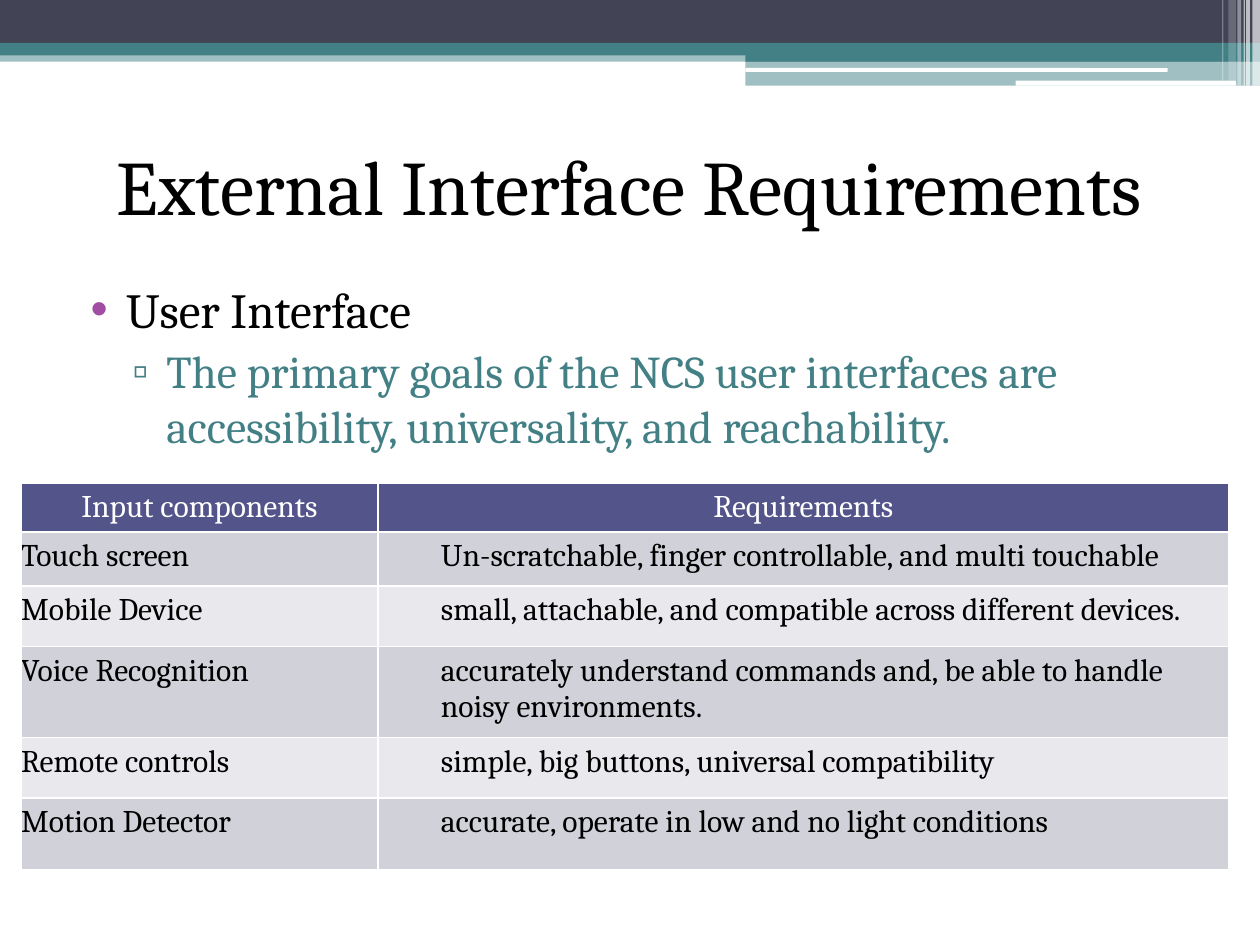
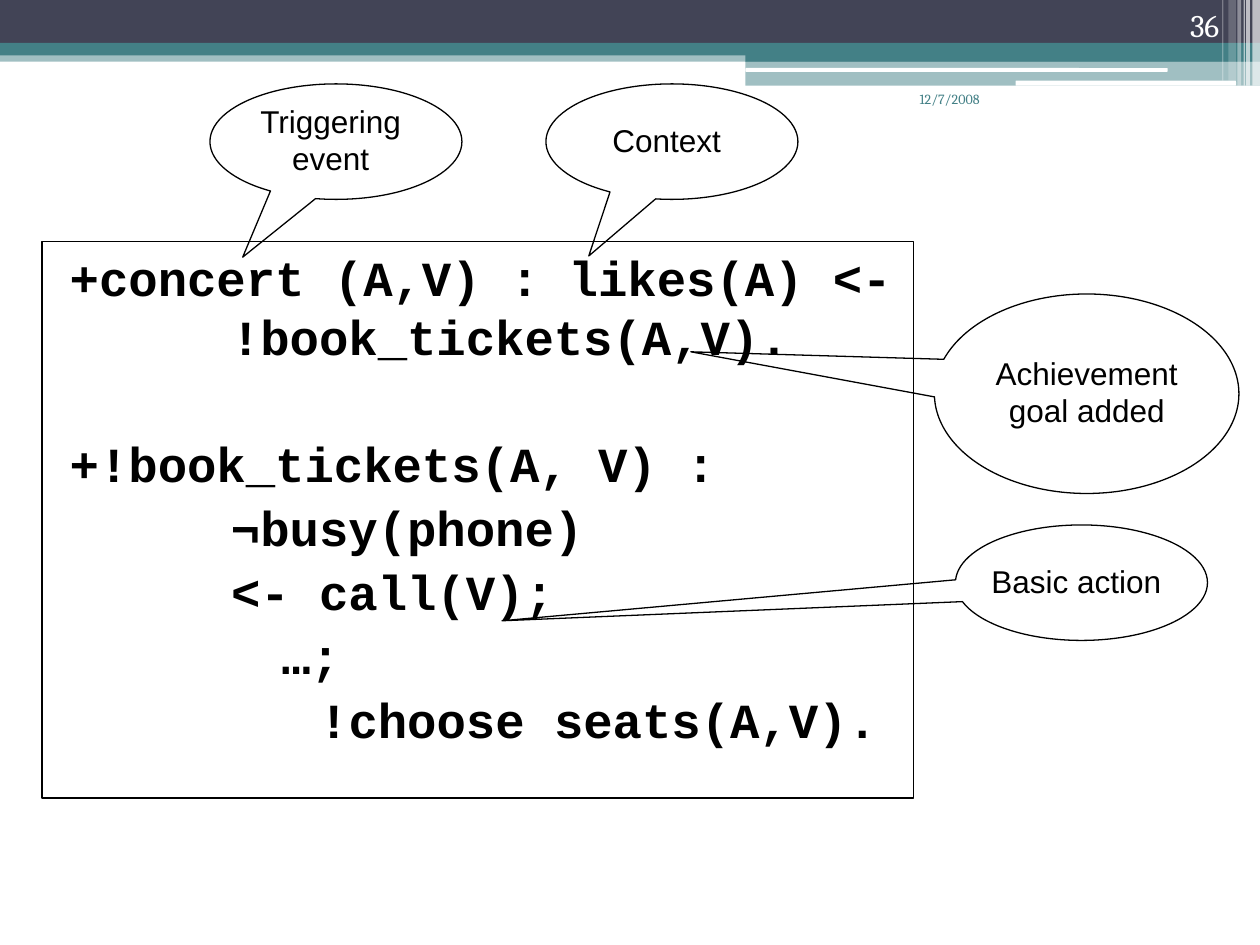
from collections import namedtuple

from lxml.etree import SubElement
from pptx import Presentation
from pptx.dml.color import RGBColor
from pptx.enum.shapes import MSO_SHAPE as Preset
from pptx.enum.text import MSO_ANCHOR as Anchor, MSO_AUTO_SIZE as AutoSize, PP_ALIGN as Align
from pptx.oxml.ns import qn
from pptx.util import Inches, Pt

# The slide is a grid of 120 columns by 90 rows, twelve to the inch.
COLUMNS, ROWS, CELLS_PER_INCH = 120, 90, 12
Box = namedtuple("Box", "left top width height")
PAGE = Box(0, 0, COLUMNS, ROWS)

SLATE, TEAL, INDIGO, PURPLE = "424456", "438086", "53548A", "A04DA3"
BLACK, WHITE, ROW_DARK, ROW_LIGHT = "000000", "FFFFFF", "D1D1DA", "E9E9ED"
SERIF, SANS, MONO = "Cambria", "Arial", "Courier New"


def grid(cells):
    return Inches(cells / CELLS_PER_INCH)


def emu(box):
    return [grid(length) for length in box]


def inside(outer, left, top, width, height):
    return Box(outer.left + left, outer.top + top, width, height)


def move(shape, box):
    shape.left, shape.top, shape.width, shape.height = emu(box)


def color(hex_code):
    return RGBColor.from_string(hex_code)


def set_font(font, name, size, hex_code, bold=False):
    font.name, font.size, font.bold = name, Pt(size), bold
    font.color.rgb = color(hex_code)


def set_indent(para, left, first=0, bullet=None, bullet_color=BLACK):
    """Indent in inches; without a bullet character the paragraph has none."""
    props = para._p.get_or_add_pPr()
    props.set("marL", str(Inches(left)))
    props.set("indent", str(Inches(first)))
    if bullet:
        tint = SubElement(props, qn("a:buClr"))
        SubElement(tint, qn("a:srgbClr"), val=bullet_color)
        SubElement(props, qn("a:buFont"), typeface=SANS)
        SubElement(props, qn("a:buChar"), char=bullet)
    else:
        SubElement(props, qn("a:buNone"))


def add_paragraph(frame, text):
    """Fill the frame's first paragraph, or add one after it."""
    para = frame.add_paragraph() if frame.text else frame.paragraphs[0]
    para.text = text
    return para


def add_label(shapes, box, text, name, size, hex_code, align=Align.LEFT, anchor=Anchor.TOP):
    label = shapes.add_textbox(*emu(box))
    frame = label.text_frame
    frame.word_wrap, frame.vertical_anchor = True, anchor
    para = add_paragraph(frame, text)
    para.alignment = align
    set_font(para.font, name, size, hex_code)


def add_band(shapes, box, hex_code, opacity=100, preset=Preset.RECTANGLE):
    band = shapes.add_shape(preset, *emu(box))
    band.shadow.inherit = False
    band.line.fill.background()
    band.fill.solid()
    band.fill.fore_color.rgb = color(hex_code)
    if opacity < 100:
        tint = band.element.spPr.find(qn("a:solidFill"))[0]
        SubElement(tint, qn("a:alpha"), val=str(opacity * 1000))
    return band


def decorate_master(deck, page, header):
    """Draw the header bands on a page, then move them to the slide master."""
    wide, right = header.width, 71
    bands = [
        (0, 4.8, wide, 1.08, TEAL, 50),
        (0, 0, wide, 4.08, SLATE, 100),
        (0, 4.08, wide, 1.2, TEAL, 100),
        (right, 4.68, wide - right, 1.2, TEAL, 100),
        (right, 5.82, wide - right, 2.34, TEAL, 50),
        (right, 6.48, 40.2, 0.36, WHITE, 100, Preset.ROUNDED_RECTANGLE),
        (96.72, 7.68, 21, 0.48, WHITE, 100, Preset.ROUNDED_RECTANGLE),
    ]
    stripes = [(119.28, 0.72, 8.16, 65), (118.68, 0.36, 8.16, 65), (118.44, 0.12, 8.16, 60),
               (117.84, 0.36, 8.16, 40), (117, 0.72, 7.68, 20), (116.4, 0.12, 7.68, 30)]
    bands += [(left, 0, width, height, WHITE, opacity)
              for left, width, height, opacity in stripes]
    tree = deck.slide_master.shapes.element
    for number, (left, top, width, height, *style) in enumerate(bands):
        band = add_band(page.shapes, inside(header, left, top, width, height), *style)
        band.element.nvSpPr.cNvPr.set("id", str(100 + number))
        tree.insert(2 + number, band.element)


def fill_title(title, box, text):
    move(title, box)
    frame = title.text_frame
    frame.auto_size, frame.vertical_anchor = AutoSize.NONE, Anchor.MIDDLE
    frame.margin_bottom = grid(9.4)
    para = add_paragraph(frame, text)
    para.alignment = Align.CENTER
    set_font(para.font, SERIF, 44, BLACK)


def fill_goals(body, box):
    move(body, box)
    frame = body.text_frame
    frame.auto_size = AutoSize.NONE
    goals = [
        ("User Interface", 0.4, -0.28, "•", PURPLE, 28, BLACK),
        ("The primary goals of the NCS user interfaces are accessibility, "
         "universality, and reachability.", 0.72, -0.27, "▫", TEAL, 26, TEAL),
    ]
    for level, (text, left, first, bullet, tint, size, hex_code) in enumerate(goals):
        para = add_paragraph(frame, text)
        para.level, para.space_before = level, Pt(3)
        set_indent(para, left, first, bullet, tint)
        set_font(para.font, SERIF, size, hex_code)


def add_requirements_table(page, box):
    records = [
        ("Input components", "Requirements"),
        ("Touch screen", "Un-scratchable, finger controllable, and multi touchable"),
        ("Mobile Device", "small, attachable, and compatible across different devices."),
        ("Voice Recognition",
         "accurately understand commands and, be able to handle noisy environments."),
        ("Remote controls", "simple, big buttons, universal compatibility"),
        ("Motion Detector", "accurate, operate in low and no light conditions"),
    ]
    heights = [3.84, 5.16, 5.76, 8.64, 5.76, 6.84]
    table = page.shapes.add_table(len(records), 2, *emu(box)).table
    for column, width in zip(table.columns, (34, box.width - 34)):
        column.width = grid(width)
    for row, (record, height) in enumerate(zip(records, heights)):
        table.rows[row].height = grid(height)
        header = row == 0
        for column, text in enumerate(record):
            cell = table.cell(row, column)
            cell.fill.solid()
            shade = INDIGO if header else ROW_DARK if row % 2 else ROW_LIGHT
            cell.fill.fore_color.rgb = color(shade)
            para = add_paragraph(cell.text_frame, text)
            if header:
                para.alignment = Align.CENTER
            else:
                cell.margin_left = cell.margin_right = 0
                set_indent(para, 0.5 * column)
            set_font(para.font, SERIF, 18, WHITE if header else BLACK)


def fill_code(body, box):
    move(body, box)
    body.line.color.rgb = color(BLACK)
    body.line.width = Pt(0.75)
    frame = body.text_frame
    frame.auto_size = AutoSize.NONE
    lines = [  # text, indent in inches, space before in points
        ("+concert (A,V) : likes(A) <-", 0.12, 3),
        ("!book_tickets(A,V).", 1.4, 0),
        ("+!book_tickets(A, V) :", 0.12, 39),
        ("¬busy(phone)", 1.4, 3),
        ("<- call(V);", 1.4, 3),
        ("…;", 1.8, 3),
        ("!choose seats(A,V).", 2.1, 3),
    ]
    for text, indent, before in lines:
        para = add_paragraph(frame, text)
        para.space_before, para.line_spacing = Pt(before), Pt(33.6)
        set_indent(para, indent)
        set_font(para.font, MONO, 28, BLACK, bold=True)
        if text.startswith("¬"):
            negation = para.runs[0]
            negation.text = "¬"
            negation.font.italic = True
            para.add_run().text = text[1:]


def add_callout(page, box, text, pointer, text_left, text_height):
    """Group an ellipse callout with its label; pointer is in shares of the ellipse."""
    shapes = page.shapes.add_group_shape().shapes
    balloon = shapes.add_shape(Preset.OVAL_CALLOUT, *emu(box))
    balloon.shadow.inherit = False
    balloon.fill.background()
    balloon.line.color.rgb = color(BLACK)
    balloon.line.width = Pt(0.75)
    balloon.adjustments[0], balloon.adjustments[1] = pointer
    label_top = (box.height - text_height) / 2 - 0.2
    add_label(shapes, inside(box, text_left, label_top, 21, text_height),
              text, SANS, 18, BLACK, Align.CENTER)


def build_requirements(page):
    fill_title(page.shapes.title, inside(PAGE, 6, 15, 108, 14), "External Interface Requirements")
    fill_goals(page.placeholders[1], inside(PAGE, 6, 26, 108, 56.8))
    add_requirements_table(page, inside(PAGE, 2, 46, 115, 36))


def build_plan_example(page):
    title = page.shapes.title.element
    title.getparent().remove(title)
    fill_code(page.placeholders[1], inside(PAGE, 4, 23, 83, 53))
    add_label(page.shapes, inside(PAGE, 86.4, 8, 12.6, 6), "12/7/2008", SERIF, 8, TEAL)
    add_label(page.shapes, inside(PAGE, 107.3, 0, 10, 4.8), "36", SERIF, 18, WHITE,
              Align.RIGHT, Anchor.BOTTOM)
    one_line, two_lines = 4.8, 8.4
    callouts = [
        (Box(20, 8, 24, 11), "Triggering event", (-0.37, 1), 1, two_lines),
        (Box(52, 8, 24, 11), "Context", (-0.33, 0.99), 1, one_line),
        (Box(89, 28, 29, 19), "Achievement goal added", (-1.3, -0.21), 4, two_lines),
        (Box(91, 50, 24, 11), "Basic action", (-2.3, 0.33), 1, one_line),
    ]
    for callout in callouts:
        add_callout(page, *callout)


def main():
    deck = Presentation()
    deck.slide_width, deck.slide_height = grid(COLUMNS), grid(ROWS)
    content_layout = deck.slide_layouts[1]
    pages = [deck.slides.add_slide(content_layout) for _ in range(2)]
    decorate_master(deck, pages[0], inside(PAGE, 0, 0, COLUMNS, 8.16))
    build_requirements(pages[0])
    build_plan_example(pages[1])
    deck.save("out.pptx")


if __name__ == "__main__":
    main()
